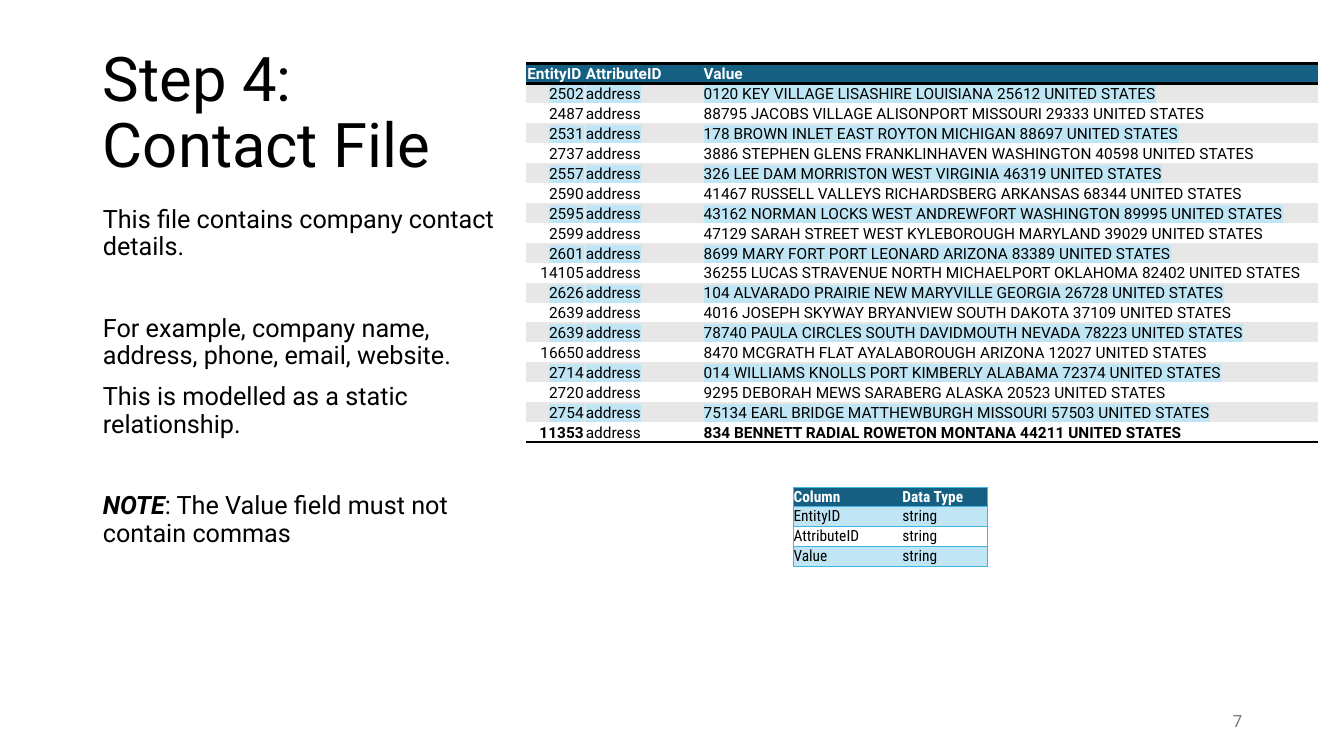
from lxml import etree
from pptx import Presentation
from pptx.dml.color import RGBColor
from pptx.enum.text import MSO_ANCHOR, MSO_AUTO_SIZE, PP_ALIGN
from pptx.oxml.ns import qn
from pptx.util import Inches, Pt

LEFT, RIGHT = PP_ALIGN.LEFT, PP_ALIGN.RIGHT
TOP, MIDDLE, BOTTOM = MSO_ANCHOR.TOP, MSO_ANCHOR.MIDDLE, MSO_ANCHOR.BOTTOM
NO_AUTOFIT = MSO_AUTO_SIZE.NONE
PLAIN_TABLE_STYLE = "{2D5ABB26-0587-4C30-8999-92F81FD0307C}"

COLORS = {
    "text": "000000",
    "white": "FFFFFF",
    "header": "156082",
    "band": "E7E7E7",
    "highlight": "C0E6F5",
    "border": "44B3E1",
    "number": "797979",
}

BODY = [
    (10, [("This file contains company contact details.", {})]),
    (39, [("For example, company name, address, phone, email, website.", {})]),
    (10, [("This is modelled as a static relationship.", {})]),
    (39, [("NOTE", {"bold": True, "italic": True}),
          (": The Value field must not contain commas", {})]),
]

CONTACT_HEADER = ("EntityID", "AttributeID", "Value")
CONTACTS = [
    ("2502", "0120 KEY VILLAGE LISASHIRE LOUISIANA 25612 UNITED STATES"),
    ("2487", "88795 JACOBS VILLAGE ALISONPORT MISSOURI 29333 UNITED STATES"),
    ("2531", "178 BROWN INLET EAST ROYTON MICHIGAN 88697 UNITED STATES"),
    ("2737", "3886 STEPHEN GLENS FRANKLINHAVEN WASHINGTON 40598 UNITED STATES"),
    ("2557", "326 LEE DAM MORRISTON WEST VIRGINIA 46319 UNITED STATES"),
    ("2590", "41467 RUSSELL VALLEYS RICHARDSBERG ARKANSAS 68344 UNITED STATES"),
    ("2595", "43162 NORMAN LOCKS WEST ANDREWFORT WASHINGTON 89995 UNITED STATES"),
    ("2599", "47129 SARAH STREET WEST KYLEBOROUGH MARYLAND 39029 UNITED STATES"),
    ("2601", "8699 MARY FORT PORT LEONARD ARIZONA 83389 UNITED STATES"),
    ("14105", "36255 LUCAS STRAVENUE NORTH MICHAELPORT OKLAHOMA 82402 UNITED STATES"),
    ("2626", "104 ALVARADO PRAIRIE NEW MARYVILLE GEORGIA 26728 UNITED STATES"),
    ("2639", "4016 JOSEPH SKYWAY BRYANVIEW SOUTH DAKOTA 37109 UNITED STATES"),
    ("2639", "78740 PAULA CIRCLES SOUTH DAVIDMOUTH NEVADA 78223 UNITED STATES"),
    ("16650", "8470 MCGRATH FLAT AYALABOROUGH ARIZONA 12027 UNITED STATES"),
    ("2714", "014 WILLIAMS KNOLLS PORT KIMBERLY ALABAMA 72374 UNITED STATES"),
    ("2720", "9295 DEBORAH MEWS SARABERG ALASKA 20523 UNITED STATES"),
    ("2754", "75134 EARL BRIDGE MATTHEWBURGH MISSOURI 57503 UNITED STATES"),
    ("11353", "834 BENNETT RADIAL ROWETON MONTANA 44211 UNITED STATES"),
]
DATA_TYPES = [("Column", "Data Type")] + [(name, "string") for name in CONTACT_HEADER]


def set_attributes(target, values):
    for name, value in values.items():
        setattr(target, name, value)


def place(shape, box):
    names = ("left", "top", "width", "height")
    set_attributes(shape, dict(zip(names, map(Inches, box))))


def add_run(paragraph, text, size, color, font="Roboto", **style):
    run = paragraph.add_run()
    run.text = text
    set_attributes(run.font, {"name": font, "size": Pt(size), **style})
    run.font.color.rgb = RGBColor.from_string(COLORS[color])
    return run


def add_highlight(run, color):
    highlight = etree.Element(qn("a:highlight"))
    etree.SubElement(highlight, qn("a:srgbClr"), val=COLORS[color])
    run.font._element.find(qn("a:solidFill")).addnext(highlight)


def add_border(cell, side, color, width):
    line = etree.SubElement(cell._tc.get_or_add_tcPr(), qn("a:ln" + side), w=str(Pt(width)))
    fill = etree.SubElement(line, qn("a:solidFill"))
    etree.SubElement(fill, qn("a:srgbClr"), val=COLORS[color])


def add_plain_table(slide, box, column_widths, row_count):
    frame = slide.shapes.add_table(row_count, len(column_widths), *map(Inches, box))
    frame._element.find(".//" + qn("a:tableStyleId")).text = PLAIN_TABLE_STYLE
    table = frame.table
    set_attributes(table, {"first_row": False, "horz_banding": False})
    for column, width in zip(table.columns, column_widths):
        column.width = Inches(width)
    for row in table.rows:
        row.height = Inches(box[3] / row_count)
    return table


def fill_cell(cell, text, fill, highlight, anchor, margins, borders,
              color="text", alignment=LEFT, **style):
    for side, (border_color, width) in borders.items():
        add_border(cell, side, border_color, width)
    names = ("margin_left", "margin_top", "margin_right", "margin_bottom")
    set_attributes(cell, dict(zip(names, map(Inches, margins))))
    cell.vertical_anchor = anchor
    cell.fill.solid()
    cell.fill.fore_color.rgb = RGBColor.from_string(COLORS[fill])
    paragraph = cell.text_frame.paragraphs[0]
    paragraph.alignment = alignment
    run = add_run(paragraph, text, 11, color, **style)
    if highlight:
        add_highlight(run, highlight)


def add_title(slide, box):
    title = slide.shapes.title
    place(title, box)
    set_attributes(title.text_frame, {
        "word_wrap": True, "auto_size": NO_AUTOFIT, "vertical_anchor": MIDDLE})
    paragraph = title.text_frame.paragraphs[0]
    set_attributes(paragraph, {"alignment": LEFT, "line_spacing": 0.9})
    add_run(paragraph, "Step 4: Contact File", 44, "text")


def add_body(slide, box):
    body = slide.placeholders[1]
    place(body, box)
    frame = body.text_frame
    set_attributes(frame, {
        "word_wrap": True, "auto_size": NO_AUTOFIT, "vertical_anchor": TOP})
    for index, (space_before, runs) in enumerate(BODY):
        paragraph = frame.add_paragraph() if index else frame.paragraphs[0]
        set_attributes(paragraph, {
            "alignment": LEFT, "line_spacing": 0.9, "space_before": Pt(space_before)})
        properties = paragraph._p.get_or_add_pPr()
        properties.set("marL", "0")
        properties.set("indent", "0")
        etree.SubElement(properties, qn("a:buNone"))
        for text, style in runs:
            add_run(paragraph, text, 18, "text", **style)


def add_contact_table(slide, box):
    rows = [CONTACT_HEADER] + [(entity, "address", value) for entity, value in CONTACTS]
    last = len(rows) - 1
    table = add_plain_table(slide, box, (0.58, 1.17, 6.1), len(rows))
    rule = ("text", 2)
    for r, row in enumerate(rows):
        borders = {0: {"T": rule, "B": rule}, last: {"B": rule}}.get(r, {})
        if r == 0:
            style = {"fill": "header", "highlight": "header", "color": "white"}
        elif r % 2:
            style = {"fill": "band", "highlight": "highlight"}
        else:
            style = {"fill": "white", "highlight": None}
        for c, text in enumerate(row):
            fill_cell(table.cell(r, c), text, anchor=BOTTOM,
                      margins=(0.01, 0.01, 0.01, 0), borders=borders,
                      alignment=RIGHT if r and c == 0 else LEFT,
                      bold=r == 0 or (r == last and c != 1), **style)


def add_data_type_table(slide, box):
    table = add_plain_table(slide, box, (1.08, 0.84), len(DATA_TYPES))
    rule = ("border", 0.5)
    for r, row in enumerate(DATA_TYPES):
        if r == 0:
            style = {"fill": "header", "highlight": "header", "color": "white"}
        elif r % 2:
            style = {"fill": "highlight", "highlight": "highlight"}
        else:
            style = {"fill": "white", "highlight": None}
        for c, text in enumerate(row):
            borders = {"R" if c else "L": rule, "T": rule, "B": rule}
            fill_cell(table.cell(r, c), text, anchor=MIDDLE, margins=(0, 0, 0, 0),
                      borders=borders, font="Roboto Condensed", bold=r == 0, **style)


def add_slide_number(slide, box):
    frame = slide.shapes.add_textbox(*map(Inches, box)).text_frame
    set_attributes(frame, {"word_wrap": True, "vertical_anchor": MIDDLE})
    paragraph = frame.paragraphs[0]
    paragraph.alignment = RIGHT
    add_run(paragraph, "7", 12, "number")


def main():
    presentation = Presentation()
    set_attributes(presentation, {
        "slide_width": Inches(13.33), "slide_height": Inches(7.5)})
    slide = presentation.slides.add_slide(presentation.slide_layouts[1])
    add_title(slide, (0.92, 0.4, 4.24, 1.47))
    add_body(slide, (0.92, 2, 4.24, 4.76))
    add_contact_table(slide, (5.22, 0.63, 7.85, 3.76))
    add_data_type_table(slide, (7.87, 4.83, 1.92, 0.79))
    add_slide_number(slide, (9.42, 6.95, 3, 0.4))
    presentation.save("out.pptx")


if __name__ == "__main__":
    main()
